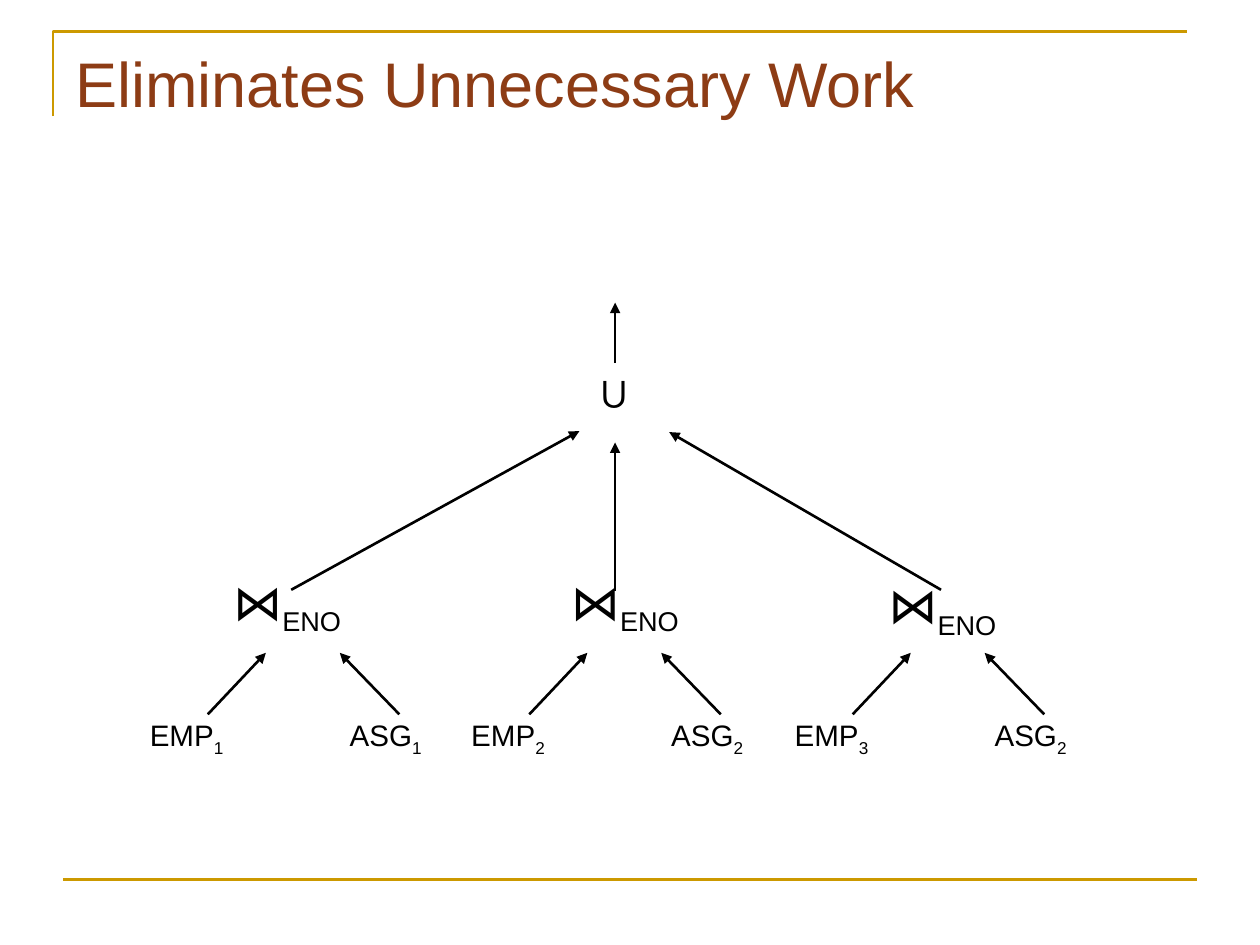
from pptx import Presentation
from pptx.dml.color import RGBColor
from pptx.enum import shapes, text
from pptx.oxml import ns
from pptx.util import Cm, Pt
from lxml import etree

COLORS = {"gold": "CC9900", "title": "8D3C15", "ink": "000000"}

# Left edge of each fragment's subtree, then its EMP and ASG numbers
FRAGMENTS = [(2.77, "1", "1"), (9.25, "2", "2"), (15.77, "3", "2")]
# Left, top and width of each join label
JOINS = [(4.7, 12.07, 2.39), (11.51, 12.07, 2.39), (17.91, 12.14, 2.59)]
# Start, end and weight of the arrows into and out of the union
UNION_ARROWS = [
    ((5.87, 11.89), (11.68, 8.69), 1.5),
    ((18.97, 11.89), (13.49, 8.71), 1.5),
    ((12.4, 11.91), (12.4, 8.92), 1.5),
    ((12.4, 7.32), (12.4, 6.1), 1),
]


def add_text(slide, box, words, subscript="", size=16.9, sub_size=None,
             font="Arial", color="ink", inset=(0, 0), spacing=None, wrap=False):
    """Place one line of text, with an optional subscript after it."""
    frame = slide.shapes.add_textbox(*map(Cm, box)).text_frame
    frame.word_wrap = wrap
    frame.vertical_anchor = text.MSO_ANCHOR.TOP
    frame.margin_left = frame.margin_right = Cm(inset[0])
    frame.margin_top = frame.margin_bottom = Cm(inset[1])
    line = frame.paragraphs[0]
    if spacing:
        line.line_spacing = Pt(spacing)
    parts = [(words, size, font)]
    if subscript:
        parts.append((subscript, sub_size or size, "Arial"))
    for index, (part, points, face) in enumerate(parts):
        run = line.add_run()
        run.text = part
        run.font.size = Pt(points)
        run.font.name = face
        run.font.color.rgb = RGBColor.from_string(COLORS[color])
        properties = run.font._element if hasattr(run.font, "_element") else run._r.get_or_add_rPr()
        for tag in ("a:ea", "a:sym"):
            etree.SubElement(properties, ns.qn(tag)).set("typeface", face)
        if index:
            properties.set("baseline", "-25000")


def add_line(slide, start, end, weight=1.5, color="ink", arrow=True):
    """Draw a straight line, with an arrowhead at its end if wanted."""
    line = slide.shapes.add_connector(
        shapes.MSO_CONNECTOR.STRAIGHT, *map(Cm, (*start, *end)))
    line.line.width = Pt(weight)
    line.line.color.rgb = RGBColor.from_string(COLORS[color])
    properties = line._element.spPr
    if arrow:
        outline = properties.find(ns.qn("a:ln"))
        etree.SubElement(outline, ns.qn("a:tailEnd")).set("type", "triangle")
    etree.SubElement(properties, ns.qn("a:effectLst"))


def add_frame(slide):
    """Draw the corner around the title and the rule at the foot."""
    builder = slide.shapes.build_freeform(Cm(1.07), Cm(2.34))
    builder.add_line_segments(
        [(Cm(1.07), Cm(0.64)), (Cm(23.93), Cm(0.64))], close=False)
    corner = builder.convert_to_shape()
    corner.shadow.inherit = False
    corner.fill.background()
    corner.line.width = Pt(1.5)
    corner.line.color.rgb = RGBColor.from_string(COLORS["gold"])
    add_line(slide, (1.27, 17.73), (24.13, 17.73), color="gold", arrow=False)


def add_fragment(slide, left, emp, asg):
    """Draw the two relations of a fragment and their arrows to the join."""
    for name, number, offset, tail, head in (
            ("EMP", emp, 0, 1.42, 2.59), ("ASG", asg, 4.03, 5.28, 4.08)):
        add_text(slide, (left + offset, 14.33, 2.03, 0.97), name, number,
                 inset=(0.25, 0.13))
        add_line(slide, (left + tail, 14.4), (left + head, 13.16))


def main():
    deck = Presentation()
    deck.slide_width, deck.slide_height = Cm(25.4), Cm(19.05)
    slide = deck.slides.add_slide(deck.slide_layouts[6])

    # Title and its frame
    add_frame(slide)
    add_text(slide, (1.27, 0.76, 22.86, 3.18), "Eliminates Unnecessary Work",
             size=36, color="title", inset=(0.25, 0.13), wrap=True)

    # Relations at the leaves
    for fragment in FRAGMENTS:
        add_fragment(slide, *fragment)

    # Union at the root
    for arrow in UNION_ARROWS:
        add_line(slide, *arrow)
    add_text(slide, (12.07, 7.39, 0.91, 1.04), "∪", size=25.3, spacing=29)

    # Joins between leaves and root
    for left, top, width in JOINS:
        add_text(slide, (left, top, width, 0.79), "⋈", "ENO", size=28.1,
                 sub_size=26.7, font="Vollkorn", spacing=22, wrap=True)

    deck.save("out.pptx")


if __name__ == "__main__":
    main()
